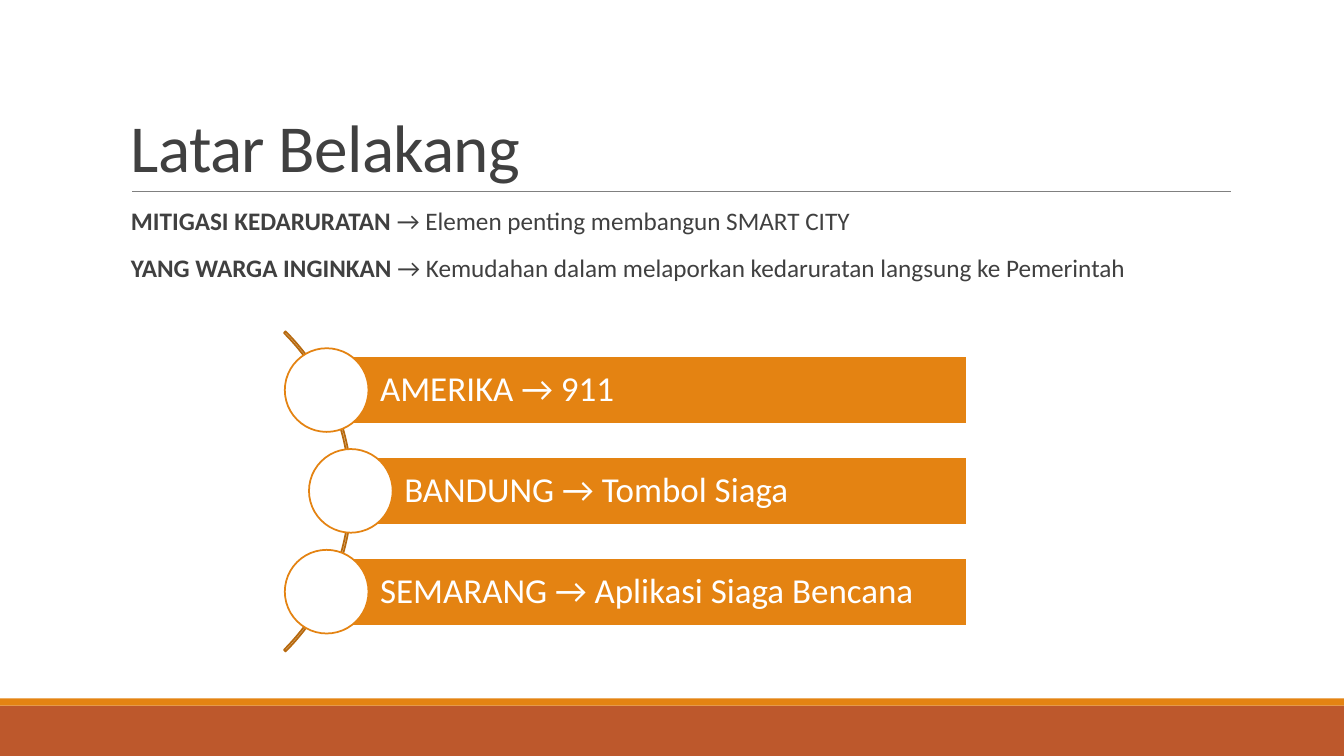
from pptx import Presentation
from pptx.dml.color import RGBColor
from pptx.enum.shapes import MSO_CONNECTOR, MSO_SHAPE
from pptx.enum.text import MSO_ANCHOR, PP_ALIGN
from pptx.oxml.ns import qn
from pptx.util import Inches, Pt
from lxml.etree import SubElement

WHITE = RGBColor(0xFF, 0xFF, 0xFF)
ORANGE = RGBColor(0xE4, 0x83, 0x12)
RUST = RGBColor(0xBD, 0x58, 0x2C)
BROWN = RGBColor(0xB7, 0x69, 0x0E)
GREY = RGBColor(0x80, 0x80, 0x80)
DARK = RGBColor(0x40, 0x40, 0x40)


class SlideBuilder:
    """Holds the style and the current slide."""

    font = "Calibri"
    outline = 1.25

    def __init__(self, slide):
        """Keep the slide to draw on."""
        self.s = slide

    def shape(self, kind, x, y, w, h, fill=None, line=None):
        """Add a flat preset shape."""
        sp = self.s.shapes.add_shape(kind, Inches(x), Inches(y), Inches(w), Inches(h))
        sp.shadow.inherit = False
        if fill is None:
            sp.fill.background()
        else:
            sp.fill.solid()
            sp.fill.fore_color.rgb = fill
        if line is None:
            sp.line.fill.background()
        else:
            sp.line.color.rgb = line
            sp.line.width = Pt(self.outline)
        return sp

    def rule(self, x1, x2, y):
        """Add a thin horizontal line."""
        c = self.s.shapes.add_connector(
            MSO_CONNECTOR.STRAIGHT, Inches(x1), Inches(y), Inches(x2), Inches(y))
        c.line.color.rgb = GREY
        c.line.width = Pt(0.5)
        SubElement(c._element.spPr, qn("a:effectLst"))

    def textbox(self, x, y, w, h, anchor=MSO_ANCHOR.TOP):
        """Add a wrapping text box and return its frame."""
        tf = self.s.shapes.add_textbox(Inches(x), Inches(y), Inches(w), Inches(h)).text_frame
        tf.word_wrap = True
        tf.vertical_anchor = anchor
        return tf

    def style(self, p, size, color, spacing=0.9):
        """Set the font and line spacing of a paragraph."""
        p.font.name = self.font
        p.font.size = Pt(size)
        p.font.color.rgb = color
        p.line_spacing = spacing
        p.alignment = PP_ALIGN.LEFT

    def title(self, text):
        """Add the slide title, slightly condensed."""
        p = self.textbox(1.2, 0.31, 11, 1.59, MSO_ANCHOR.BOTTOM).paragraphs[0]
        r = p.add_run()
        r.text = text
        r.font._element.set("spc", "-50")
        self.style(p, 48, DARK, 0.85)

    def body(self, lines):
        """Add paragraphs with a bold lead and a plain remainder."""
        tf = self.textbox(1.2, 2.02, 11, 1)
        for i, (lead, rest) in enumerate(lines):
            p = tf.add_paragraph() if i else tf.paragraphs[0]
            self.style(p, 18, DARK)
            p.space_before, p.space_after = Pt(12), Pt(2)
            r = p.add_run()
            r.text = lead
            r.font.bold = True
            p.add_run().text = rest

    def bar(self, x, right, cy, text):
        """Add a labelled bar whose left end is covered by a circle."""
        height, d = 0.67, 0.83
        sp = self.shape(MSO_SHAPE.RECTANGLE, x, cy - height / 2, right - x, height,
                        ORANGE, WHITE)
        tf = sp.text_frame
        tf.word_wrap = True
        tf.vertical_anchor = MSO_ANCHOR.MIDDLE
        tf.margin_left = Inches(0.53)
        tf.margin_right = tf.margin_top = tf.margin_bottom = Inches(0.07)
        p = tf.paragraphs[0]
        p.text = text
        self.style(p, 25, WHITE)
        self.shape(MSO_SHAPE.OVAL, x - d / 2, cy - d / 2, d, d, WHITE, ORANGE)

    def arc(self, x, y, d):
        """Add the thin quarter arc that links the circles."""
        sp = self.shape(MSO_SHAPE.BLOCK_ARC, x, y, d, d, line=BROWN)
        for i, value in enumerate((189, 27, 0.005)):
            sp.adjustments[i] = value


prs = Presentation()
prs.slide_width, prs.slide_height = Inches(13.33), Inches(7.5)
b = SlideBuilder(prs.slides.add_slide(prs.slide_layouts[6]))

b.shape(MSO_SHAPE.RECTANGLE, 0, 7, 13.33, 0.5, RUST)
b.shape(MSO_SHAPE.RECTANGLE, 0, 6.93, 13.33, 0.07, ORANGE)
b.rule(1.31, 12.21, 1.9)
b.title("Latar Belakang")
b.body([
    ("MITIGASI KEDARURATAN ", "→ Elemen penting membangun SMART CITY"),
    ("YANG WARGA INGINKAN ",
     "→ Kemudahan dalam melaporkan kedaruratan langsung ke Pemerintah"),
])

b.arc(-1, 2.63, 4.49)
examples = [
    (3.24, "AMERIKA → 911"),
    (3.48, "BANDUNG → Tombol Siaga"),
    (3.24, "SEMARANG → Aplikasi Siaga Bencana"),
]
for row, (x, text) in enumerate(examples):
    b.bar(x, 9.59, 3.87 + row, text)

prs.save("out.pptx")
